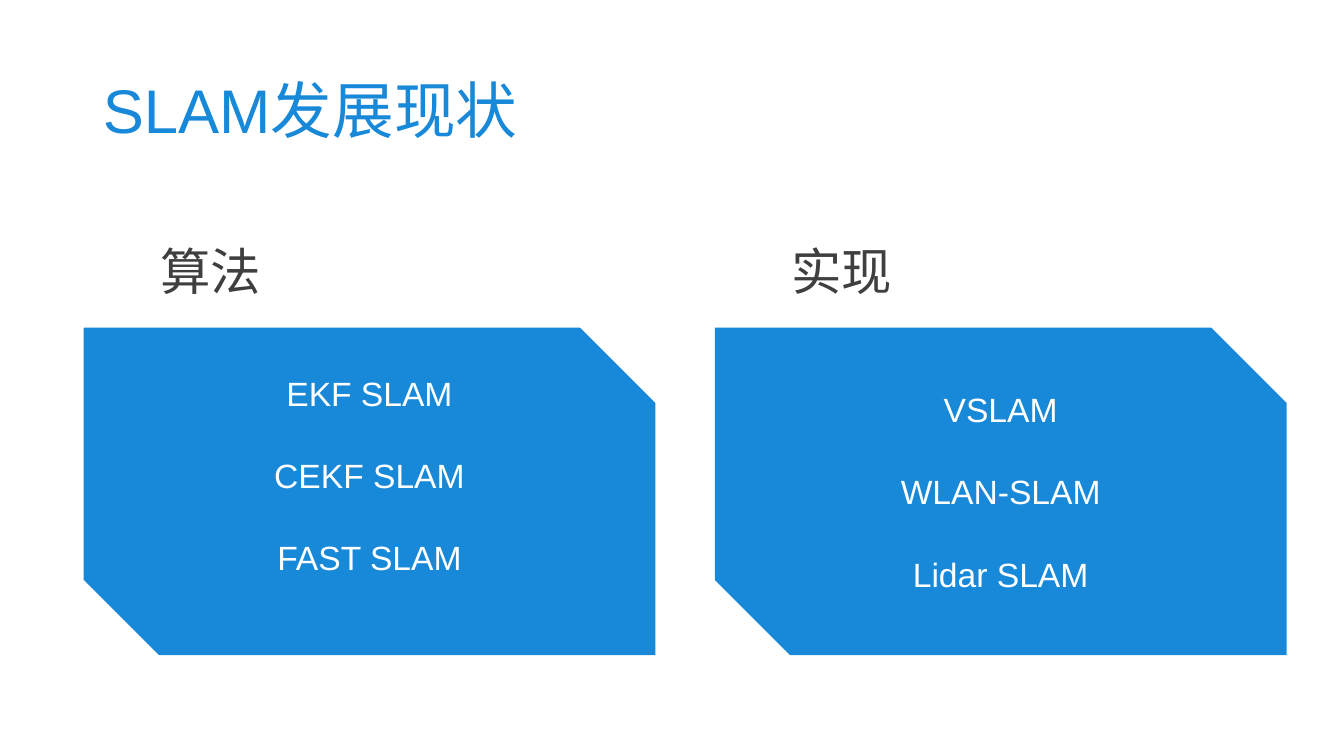
from pptx import Presentation
from pptx import util as u
from pptx.dml.color import RGBColor
from pptx.enum import shapes, text

PX = u.Inches(1) // 100  # 100 px to the inch
BLUE, GREY, WHITE = "1889D9", "3F3F3F", "FFFFFF"


def px(*lengths):
    return [u.Emu(n * PX) for n in lengths]


def color(value):
    return RGBColor.from_string(value)


def write(tf, lines, size, fill, align=text.PP_ALIGN.LEFT,
          anchor=text.MSO_ANCHOR.TOP, spacing=1.0, gap=0, bottom=5):
    tf.word_wrap = True
    tf.auto_size = text.MSO_AUTO_SIZE.NONE
    tf.vertical_anchor = anchor
    tf.margin_left, tf.margin_right, tf.margin_top, tf.margin_bottom = px(10, 10, 5, bottom)
    for i, line in enumerate(lines):
        p = tf.add_paragraph() if i else tf.paragraphs[0]
        p.alignment = align
        p.line_spacing = spacing
        p.space_before = u.Pt(gap if i else 0)
        r = p.add_run()
        r.text = line
        r.font.name = "Arial"
        r.font.size = u.Pt(size)
        r.font.color.rgb = color(fill)


def add_title(s, title, x, y, w, h):
    sp = s.shapes.title
    sp.left, sp.top, sp.width, sp.height = px(x, y, w, h)
    write(sp.text_frame, [title], 44, BLUE, anchor=text.MSO_ANCHOR.MIDDLE, spacing=0.9)


def add_panel(s, heading, items, x, y, w, h, bottom=5):
    # Heading above the card
    sp = s.shapes.add_textbox(*px(x + 66, y, 163, 68))
    write(sp.text_frame, [heading], 36, GREY, spacing=0.9)

    # Card with two snipped corners
    sp = s.shapes.add_shape(shapes.MSO_SHAPE.SNIP_2_DIAG_RECTANGLE,
                            *px(x, y + 85, w, h - 85))
    sp.adjustments[0], sp.adjustments[1] = 0, 0.23
    sp.shadow.inherit = False
    sp.fill.solid()
    sp.fill.fore_color.rgb = color(BLUE)
    sp.line.fill.background()
    write(sp.text_frame, items, 24, WHITE, align=text.PP_ALIGN.CENTER,
          anchor=text.MSO_ANCHOR.MIDDLE, gap=30, bottom=bottom)


def main():
    prs = Presentation()
    prs.slide_width, prs.slide_height = px(1333, 750)
    s = prs.slides.add_slide(prs.slide_layouts[5])

    add_title(s, "SLAM发展现状", 92, 40, 1150, 145)
    # Algorithms on the left, implementations on the right
    add_panel(s, "算法", ["EKF SLAM", "CEKF SLAM", "FAST SLAM"], 83, 240, 567, 410, bottom=37)
    add_panel(s, "实现", ["VSLAM", "WLAN-SLAM", "Lidar SLAM"], 709, 240, 567, 410)

    prs.save("out.pptx")


if __name__ == "__main__":
    main()
